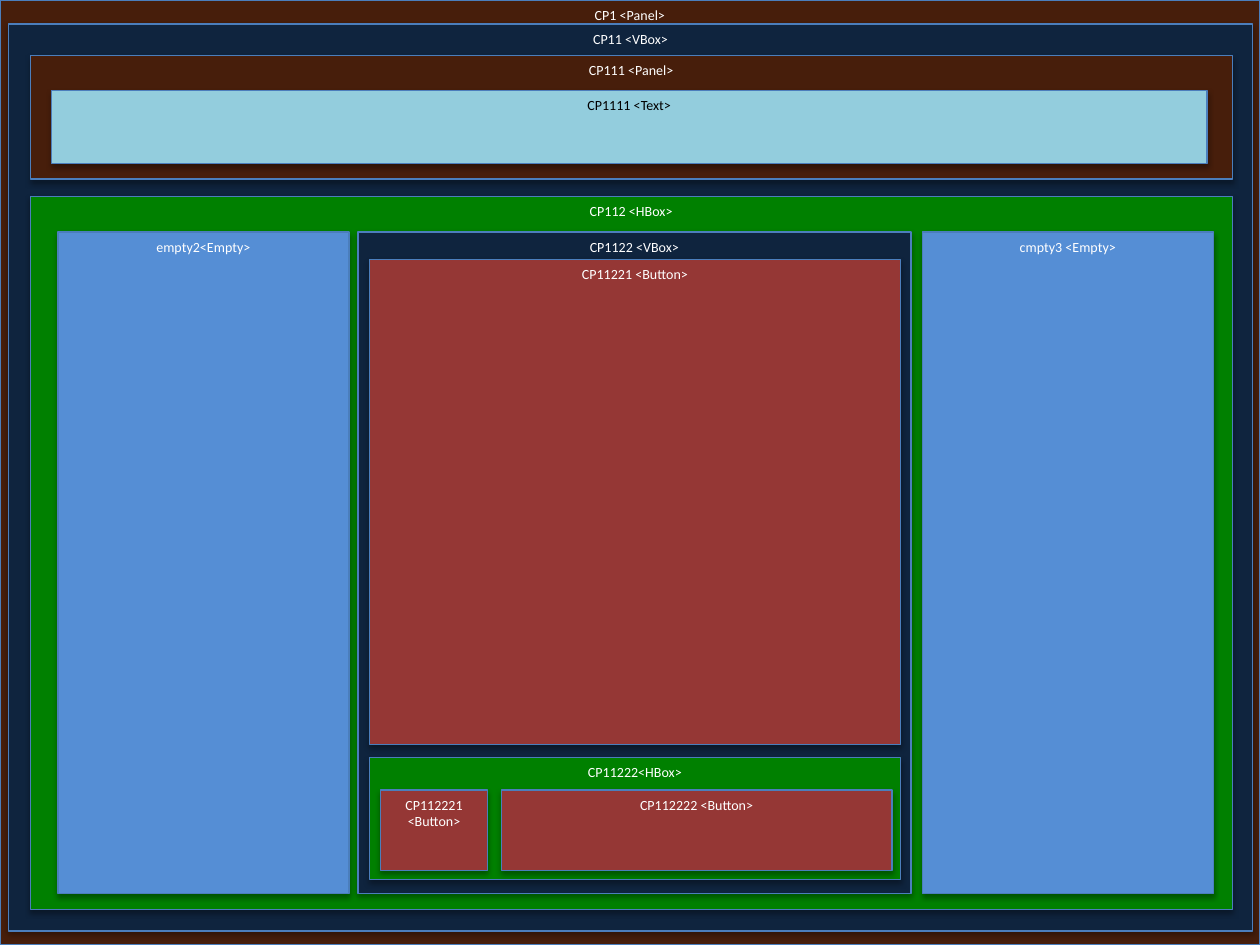
"""Build a slide of nested user interface components."""
import dataclasses

import lxml.etree
import pptx
import pptx.dml.color
import pptx.enum.shapes
import pptx.enum.text
import pptx.oxml.ns
import pptx.util

Inches = pptx.util.Inches
Pt = pptx.util.Pt
RGB = pptx.dml.color.RGBColor.from_string


@dataclasses.dataclass(frozen=True)
class Theme:
    """Colours and type of the slide."""
    panel: str = "471E0B"
    vbox: str = "0F243E"
    hbox: str = "008000"
    text: str = "93CDDD"
    empty: str = "558ED5"
    button: str = "953735"
    outline: str = "4B7EBC"
    light: str = "FFFFFF"
    dark: str = "000000"
    font: str = "Calibri"
    label_size: float = 8
    outline_width: float = 0.75


@dataclasses.dataclass(frozen=True)
class Box:
    """A rectangle on the slide, in inches."""
    left: float
    top: float
    width: float
    height: float

    def inside(self, left, top, width, height):
        """Return a box offset from this one's top left corner."""
        return Box(self.left + left, self.top + top, width, height)


THEME = Theme()


def add_shadow(component):
    """Give a component a soft shadow that falls downwards."""
    component.shadow.inherit = False
    qn = pptx.oxml.ns.qn
    effects = component._element.spPr.find(qn("a:effectLst"))
    shadow = lxml.etree.SubElement(
        effects, qn("a:outerShdw"), blurRad=str(Pt(3.1)), dist=str(Pt(1.8)),
        dir="5400000", rotWithShape="0")
    colour = lxml.etree.SubElement(shadow, qn("a:srgbClr"), val=THEME.dark)
    lxml.etree.SubElement(colour, qn("a:alpha"), val="35000")


def add_component(slide, box, label, fill, ink=THEME.light):
    """Draw one component with its label at the top."""
    component = slide.shapes.add_shape(
        pptx.enum.shapes.MSO_SHAPE.RECTANGLE, Inches(box.left), Inches(box.top),
        Inches(box.width), Inches(box.height))
    component.fill.solid()
    component.fill.fore_color.rgb = RGB(fill)
    component.line.color.rgb = RGB(THEME.outline)
    component.line.width = Pt(THEME.outline_width)
    add_shadow(component)
    frame = component.text_frame
    frame.word_wrap = True
    frame.vertical_anchor = pptx.enum.text.MSO_ANCHOR.TOP
    caption = frame.paragraphs[0]
    caption.text = label
    caption.alignment = pptx.enum.text.PP_ALIGN.CENTER
    caption.font.name = THEME.font
    caption.font.size = Pt(THEME.label_size)
    caption.font.color.rgb = RGB(ink)


def add_text_panel(slide, box):
    """Draw the upper panel and the text it holds."""
    add_component(slide, box, "CP111 <Panel>", THEME.panel)
    add_component(slide, box.inside(0.17, 0.28, 9.17, 0.58), "CP1111 <Text>",
                  THEME.text, THEME.dark)


def add_button_row(slide, box):
    """Draw the horizontal box with its two buttons."""
    add_component(slide, box, "CP11222<HBox>", THEME.hbox)
    buttons = [("CP112222 <Button>", 1.05, 3.1), ("CP112221 <Button>", 0.09, 0.85)]
    for label, left, width in buttons:
        add_component(slide, box.inside(left, 0.26, width, 0.64), label, THEME.button)


def add_button_column(slide, box):
    """Draw the central vertical box with a large button over a row of buttons."""
    add_component(slide, box, "CP1122 <VBox>", THEME.vbox)
    add_component(slide, box.inside(0.09, 0.22, 4.22, 3.85), "CP11221 <Button>",
                  THEME.button)
    add_button_row(slide, box.inside(0.09, 4.17, 4.22, 0.97))


def add_main_row(slide, box):
    """Draw the lower horizontal box with the button column between two empties."""
    add_component(slide, box, "CP112 <HBox>", THEME.hbox)
    for label, left in [("empty2<Empty>", 0.22), ("cmpty3 <Empty>", 7.08)]:
        add_component(slide, box.inside(left, 0.28, 2.31, 5.25), label, THEME.empty)
    add_button_column(slide, box.inside(2.6, 0.28, 4.39, 5.25))


def add_root_panel(slide, box):
    """Draw the outer panel and the vertical box that stacks both regions."""
    add_component(slide, box, "CP1 <Panel>", THEME.panel)
    stack = box.inside(0.07, 0.19, 9.87, 7.2)
    add_component(slide, stack, "CP11 <VBox>", THEME.vbox)
    add_text_panel(slide, stack.inside(0.17, 0.25, 9.54, 0.98))
    add_main_row(slide, stack.inside(0.17, 1.37, 9.54, 5.66))


def main():
    """Create and save the presentation."""
    deck = pptx.Presentation()
    deck.slide_width, deck.slide_height = Inches(10), Inches(7.5)
    slide = deck.slides.add_slide(deck.slide_layouts[6])
    add_root_panel(slide, Box(0, 0, 10, 7.5))
    deck.save("out.pptx")


if __name__ == "__main__":
    main()
